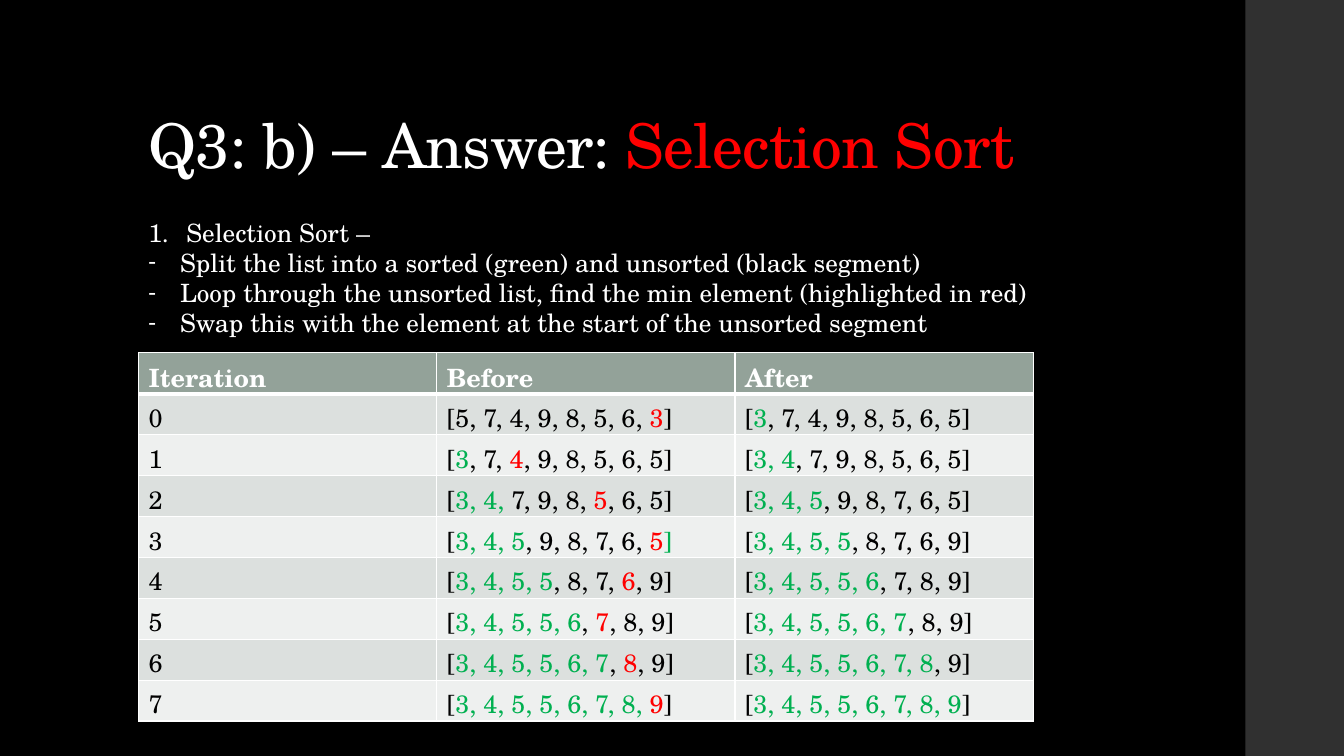
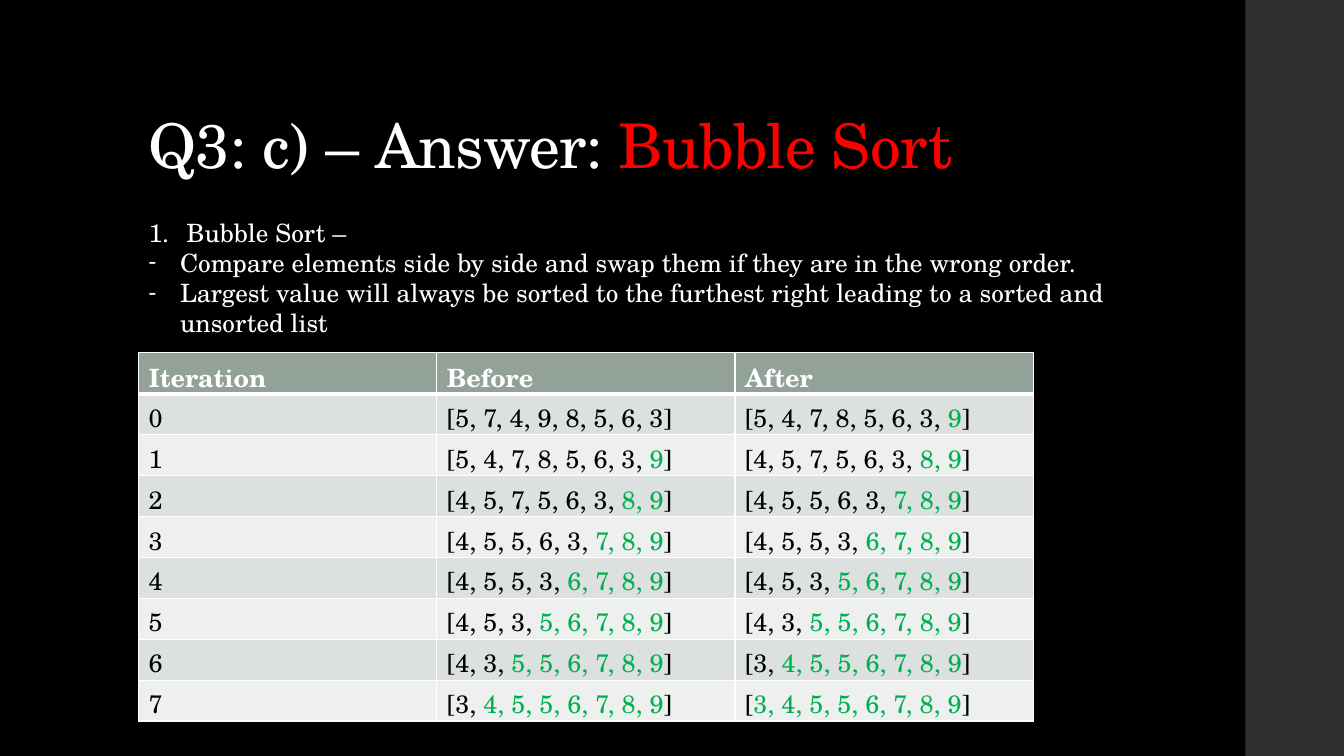
import pptx
import pptx.dml.color
import pptx.enum.shapes
import pptx.enum.text
import pptx.oxml.ns
import pptx.util
import lxml.etree

PX = 9525  # EMU in one px (96 px to the inch)
FONT = "TeX Gyre Schola"
COLORS = {
    "page": "000000", "band": "303030", "white": "FFFFFF", "black": "000000",
    "red": "FF0000", "green": "00B050",
    "header": "93A299", "odd": "DCE0DE", "even": "EEF0EF",
}
# A cell text is split at "|"; a part that starts with a mark takes its colour.
MARKS = {"+": "green", "!": "red"}

PAGE_SIZE = (1280, 720)
BAND_BOX = (1186, 0, 94, 720)
TITLE_BOX = (132, 38, 1018, 140)
TABLE_BOX = (132, 336, 852, 351)
HEADINGS = ["Iteration", "Before", "After"]

SELECTION_ROWS = [
    ("[5, 7, 4, 9, 8, 5, 6, |!3|]", "[|+3|, 7, 4, 9, 8, 5, 6, 5]"),
    ("[|+3|, 7, |!4|, 9, 8, 5, 6, 5]", "[|+3, 4|, 7, 9, 8, 5, 6, 5]"),
    ("[|+3, 4,| 7, 9, 8, |!5|, 6, 5]", "[|+3, 4, 5|, 9, 8, 7, 6, 5]"),
    ("[|+3, 4, 5|, 9, 8, 7, 6, |!5|+]", "[|+3, 4, 5, 5|, 8, 7, 6, 9]"),
    ("[|+3, 4, 5, 5|, 8, 7, |!6|, 9]", "[|+3, 4, 5, 5, 6|, 7, 8, 9]"),
    ("[|+3, 4, 5, 5, 6|, |!7|, 8, 9]", "[|+3, 4, 5, 5, 6, 7|, 8, 9]"),
    ("[|+3, 4, 5, 5, 6, 7|, |!8|, 9]", "[|+3, 4, 5, 5, 6, 7, 8|, 9]"),
    ("[|+3, 4, 5, 5, 6, 7, 8, |!9|]", "[|+3, 4, 5, 5, 6, 7, 8, 9|]"),
]
# Each bubble sort pass starts from the list the pass before it left.
BUBBLE_STATES = [
    "[5, 7, 4, 9, 8, 5, 6, 3]",
    "[5, 4, 7, 8, 5, 6, 3, |+9|]",
    "[4, 5, 7, 5, 6, 3, |+8, 9|]",
    "[4, 5, 5, 6, 3, |+7, 8, 9|]",
    "[4, 5, 5, 3, |+6, 7, 8, 9|]",
    "[4, 5, 3, |+5, 6, 7, 8, 9|]",
    "[4, 3, |+5, 5, 6, 7, 8, 9|]",
    "[3, |+4, 5, 5, 6, 7, 8, 9|]",
    "[|+3, 4, 5, 5, 6, 7, 8, 9|]",
]
ANSWERS = [
    {
        "title": "Q3: b) – Answer: |!Selection Sort",
        "notes_box": (132, 202, 864, 126),
        "notes": [
            "Selection Sort –",
            "Split the list into a sorted (green) and unsorted (black segment)",
            "Loop through the unsorted list, find the min element (highlighted in red)",
            "Swap this with the element at the start of the unsorted segment",
        ],
        "rows": SELECTION_ROWS,
    },
    {
        "title": "Q3: c) – Answer: |!Bubble Sort",
        "notes_box": (132, 202, 935, 126),
        "notes": [
            "Bubble Sort –",
            "Compare elements side by side and swap them if they are in the wrong order.",
            "Largest value will always be sorted to the furthest right leading to a sorted and unsorted list",
        ],
        "rows": list(zip(BUBBLE_STATES, BUBBLE_STATES[1:])),
    },
]


def emu(lengths):
    return [length * PX for length in lengths]


def rgb(name):
    return pptx.dml.color.RGBColor.from_string(COLORS[name])


def paint(fill, name):
    fill.solid()
    fill.fore_color.rgb = rgb(name)


def add_child(parent, tag, **attributes):
    child = lxml.etree.SubElement(parent, pptx.oxml.ns.qn(tag))
    for key, value in attributes.items():
        child.set(key, str(value))
    return child


def write(para, text, size=18, color="white", bold=False, spacing=None):
    """Add marked text to a paragraph, one run for each coloured part."""
    for part in text.split("|"):
        mark = MARKS.get(part[:1])
        span = para.add_run()
        span.text = part[1:] if mark else part
        span.font.name = FONT
        span.font.size = pptx.util.Pt(size)
        span.font.bold = bold
        span.font.color.rgb = rgb(mark or color)
        if spacing is not None:
            span.font._element.set("spc", str(spacing))


def add_text_frame(page, box):
    frame = page.shapes.add_textbox(*emu(box)).text_frame
    frame.word_wrap = True
    return frame


def add_band(page, box):
    band = page.shapes.add_shape(pptx.enum.shapes.MSO_SHAPE.RECTANGLE, *emu(box))
    band.shadow.inherit = False
    paint(band.fill, "band")
    band.line.fill.background()


def add_title(page, box, text):
    frame = add_text_frame(page, box)
    frame.vertical_anchor = pptx.enum.text.MSO_ANCHOR.BOTTOM
    para = frame.paragraphs[0]
    para.line_spacing = 0.9
    write(para, text, size=44, spacing=-50)


def add_notes(page, box, lines):
    """A numbered heading followed by dashed points."""
    frame = add_text_frame(page, box)
    frame.auto_size = pptx.enum.text.MSO_AUTO_SIZE.SHAPE_TO_FIT_TEXT
    for index, line in enumerate(lines):
        para = frame.add_paragraph() if index else frame.paragraphs[0]
        indent = (30 if index else 36) * PX
        properties = para._p.get_or_add_pPr()
        properties.set("marL", str(indent))
        properties.set("indent", str(-indent))
        if index:
            add_child(properties, "a:buFontTx")
            add_child(properties, "a:buChar", char="-")
        else:
            add_child(properties, "a:buFont", typeface="+mj-lt")
            add_child(properties, "a:buAutoNum", type="arabicPeriod")
        write(para, line)


def add_borders(cell, top, bottom):
    """White cell borders, with widths in points."""
    properties = cell._tc.get_or_add_tcPr()
    for side, width in (("L", 1), ("R", 1), ("T", top), ("B", bottom)):
        line = add_child(properties, "a:ln" + side, w=pptx.util.Pt(width))
        fill = add_child(line, "a:solidFill")
        add_child(fill, "a:srgbClr", val=COLORS["white"])


def add_sort_table(page, box, rows):
    lines = [HEADINGS] + [(str(i), *row) for i, row in enumerate(rows)]
    table = page.shapes.add_table(len(lines), len(HEADINGS), *emu(box)).table
    table.horz_banding = False
    for row in table.rows:
        row.height = box[3] * PX // len(lines)
    for r, line in enumerate(lines):
        for c, text in enumerate(line):
            cell = table.cell(r, c)
            # A thick rule parts the header from the body.
            add_borders(cell, top=3 if r == 1 else 1, bottom=3 if r == 0 else 1)
            paint(cell.fill, "header" if r == 0 else "odd" if r % 2 else "even")
            write(cell.text_frame.paragraphs[0], text,
                  color="black" if r else "white", bold=r == 0)


def add_answer_page(deck, answer):
    page = deck.slides.add_slide(deck.slide_layouts[6])
    add_band(page, BAND_BOX)
    add_title(page, TITLE_BOX, answer["title"])
    add_notes(page, answer["notes_box"], answer["notes"])
    add_sort_table(page, TABLE_BOX, answer["rows"])


def main():
    deck = pptx.Presentation()
    deck.slide_width, deck.slide_height = emu(PAGE_SIZE)
    paint(deck.slide_master.background.fill, "page")
    for answer in ANSWERS:
        add_answer_page(deck, answer)
    deck.save("out.pptx")


if __name__ == "__main__":
    main()
